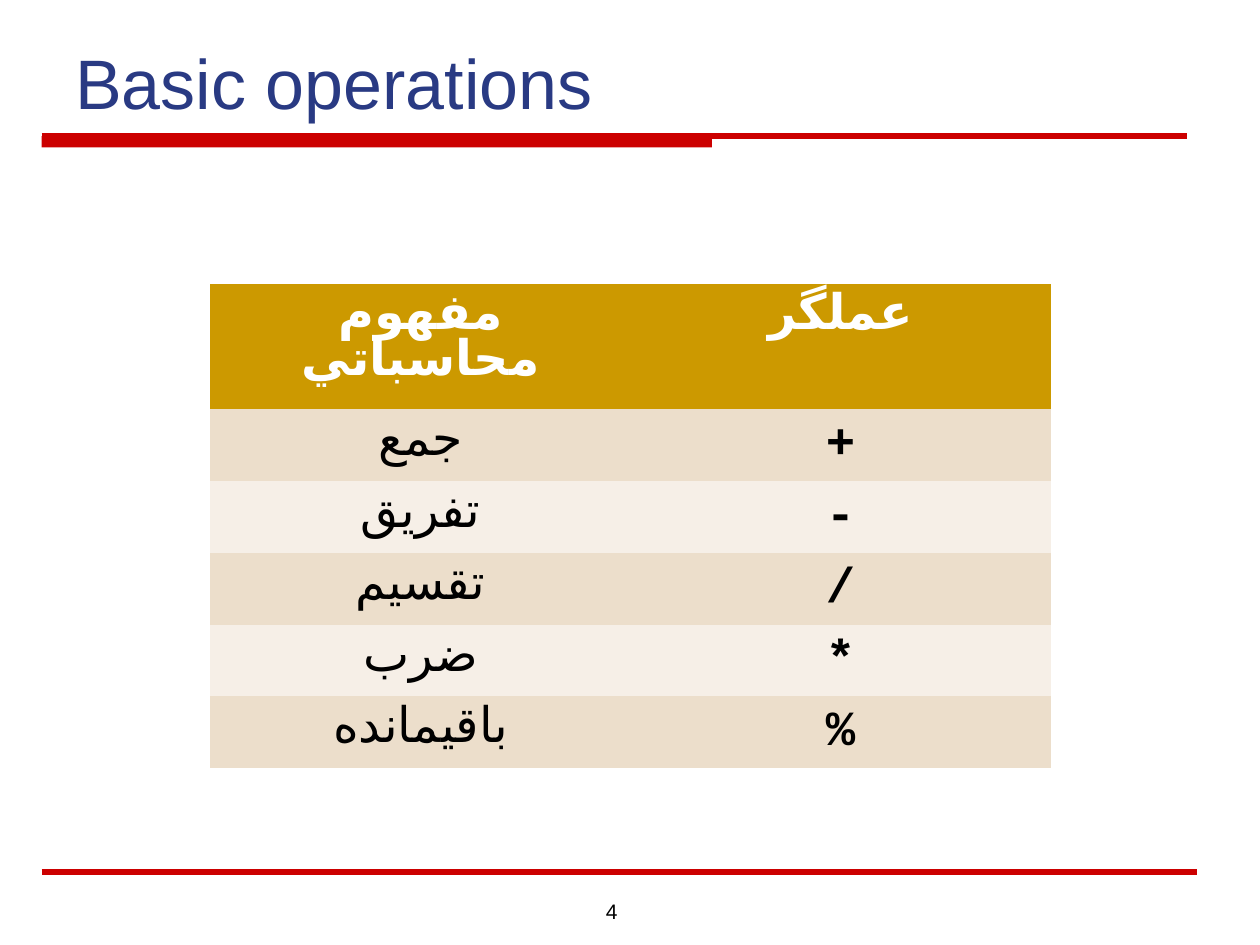
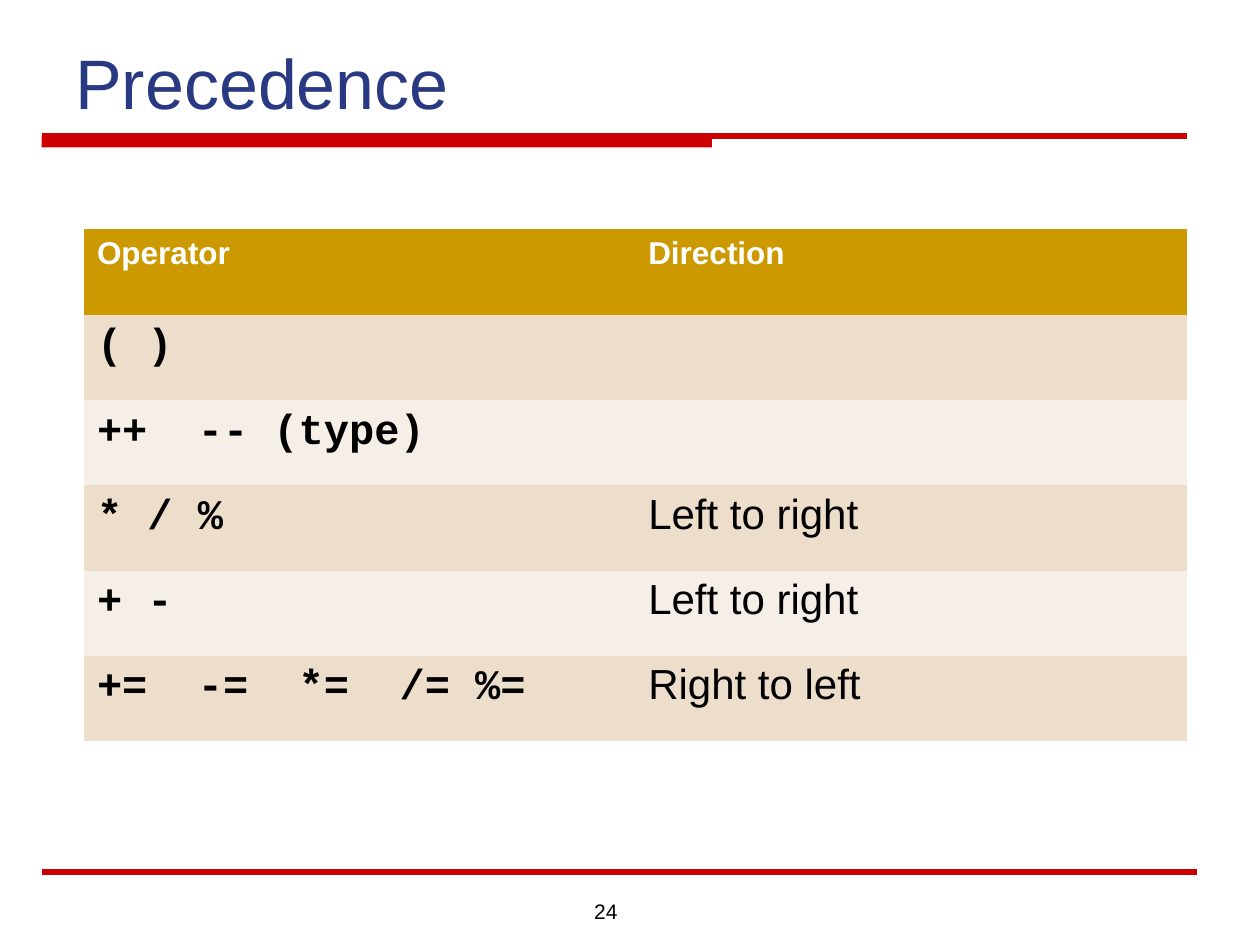
"""Build two slides on operators: their meaning and their precedence."""
from lxml.etree import SubElement
from pptx import Presentation
from pptx.dml.color import RGBColor
from pptx.enum.lang import MSO_LANGUAGE_ID
from pptx.enum.shapes import MSO_CONNECTOR, MSO_SHAPE
from pptx.enum.text import MSO_ANCHOR, PP_ALIGN
from pptx.oxml.ns import qn
from pptx.util import Inches, Pt

RED = RGBColor(0xCC, 0x00, 0x00)
NAVY = RGBColor(0x29, 0x3A, 0x83)
BLACK = RGBColor(0x00, 0x00, 0x00)
WHITE = RGBColor(0xFF, 0xFF, 0xFF)
GOLD = RGBColor(0xCC, 0x99, 0x00)
BANDS = [RGBColor(0xF6, 0xEF, 0xE7), RGBColor(0xEC, 0xDE, 0xCB)]
NO_GRID_STYLE = "{2D5ABB26-0587-4C30-8999-92F81FD0307C}"

TITLE = {"size": Pt(40), "name": "Arial"}
PAGE_NUMBER = {"size": Pt(12), "name": "Arial"}
WORDS = {"name": "Arial", "bold": False}
CODE = {"name": "Courier New", "bold": True}
HEADING = {"name": "Arial", "bold": True}
PERSIAN = {"language_id": MSO_LANGUAGE_ID.FARSI}
ENGLISH = {"language_id": MSO_LANGUAGE_ID.ENGLISH_US}

RULES = [(0.33, 1.08, 9.42), (0.33, 6.92, 9.5)]

SLIDES = [
    {
        "title": "Basic operations",
        "number": "4",
        "box": (1.67, 2.25, 6.67, 3.42),
        "heading_height": 0.85,
        "heading_margin": 0.6,
        "columns": ({**WORDS, **PERSIAN}, CODE),
        "heading": {**HEADING, **PERSIAN, "size": Pt(28)},
        "body_size": Pt(28),
        "margin_top": 0.08,
        "align": PP_ALIGN.CENTER,
        "rows": [
            ("مفهوم محاسباتي", "عملگر"),
            ("جمع", "+"),
            ("تفريق", "-"),
            ("تقسيم", "/"),
            ("ضرب", "*"),
            ("باقيمانده", "%"),
        ],
    },
    {
        "title": "Precedence",
        "number": "24",
        "box": (0.67, 1.82, 8.75, 4.06),
        "heading_height": 0.68,
        "heading_margin": 0.1,
        "columns": (CODE, {**WORDS, **ENGLISH}),
        "heading": {**HEADING, **ENGLISH, "size": Pt(18)},
        "body_size": Pt(24),
        "margin_top": 0.07,
        "align": PP_ALIGN.LEFT,
        "rows": [
            ("Operator", "Direction"),
            ("( )", ""),
            ("++  -- (type)", ""),
            ("* / %", "Left to right"),
            ("+ -", "Left to right"),
            ("+=  -=  *=  /= %=", "Right to left"),
        ],
    },
]


def write(paragraph, text, style, color, align):
    """Write one styled run into a paragraph."""
    paragraph.alignment = align
    run = paragraph.add_run()
    run.text = text
    for attribute, value in style.items():
        setattr(run.font, attribute, value)
    run.font.color.rgb = color


def add_label(slide, box, text, style, color, align, anchor):
    """Place a wrapped line of text."""
    frame = slide.shapes.add_textbox(*map(Inches, box)).text_frame
    frame.word_wrap = True
    frame.vertical_anchor = anchor
    write(frame.paragraphs[0], text, style, color, align)


deck = Presentation()
deck.slide_width, deck.slide_height = Inches(10), Inches(7.5)

for content in SLIDES:
    slide = deck.slides.add_slide(deck.slide_layouts[6])

    title_band = slide.shapes.add_shape(
        MSO_SHAPE.RECTANGLE, Inches(0.33), Inches(1.08), Inches(5.32), Inches(0.09)
    )
    title_band.shadow.inherit = False
    title_band.fill.solid()
    title_band.fill.fore_color.rgb = RED
    title_band.line.fill.background()

    for left, top, right in RULES:
        rule = slide.shapes.add_connector(
            MSO_CONNECTOR.STRAIGHT, Inches(left), Inches(top), Inches(right), Inches(top)
        )
        rule.line.color.rgb = RED
        rule.line.width = Pt(3)
        SubElement(rule._element.spPr, qn("a:effectLst"))

    add_label(slide, (4.33, 7.08, 0.67, 0.27), content["number"], PAGE_NUMBER,
              BLACK, PP_ALIGN.RIGHT, MSO_ANCHOR.TOP)
    add_label(slide, (0.5, 0.17, 9, 0.86), content["title"], TITLE,
              NAVY, PP_ALIGN.LEFT, MSO_ANCHOR.BOTTOM)

    rows = content["rows"]
    operators = slide.shapes.add_table(
        len(rows), len(rows[0]), *map(Inches, content["box"])
    ).table
    operators.first_row = operators.horz_banding = False
    operators._tbl.tblPr.find(qn("a:tableStyleId")).text = NO_GRID_STYLE
    operators.rows[0].height = Inches(content["heading_height"])

    for r, row in enumerate(rows):
        for c, text in enumerate(row):
            cell = operators.cell(r, c)
            cell.fill.solid()
            cell.fill.fore_color.rgb = BANDS[r % 2] if r else GOLD
            body = {**content["columns"][c], "size": content["body_size"]}
            style = body if r else content["heading"]
            is_code = style["name"] == CODE["name"]
            cell.margin_top = Inches(0.07 if is_code else content["margin_top"])
            if not r:
                cell.margin_left = cell.margin_right = Inches(content["heading_margin"])
            if text:
                paragraph = cell.text_frame.paragraphs[0]
                paragraph.line_spacing = 0.94 if is_code else 0.93
                write(paragraph, text, style, BLACK if r else WHITE, content["align"])

deck.save("out.pptx")
